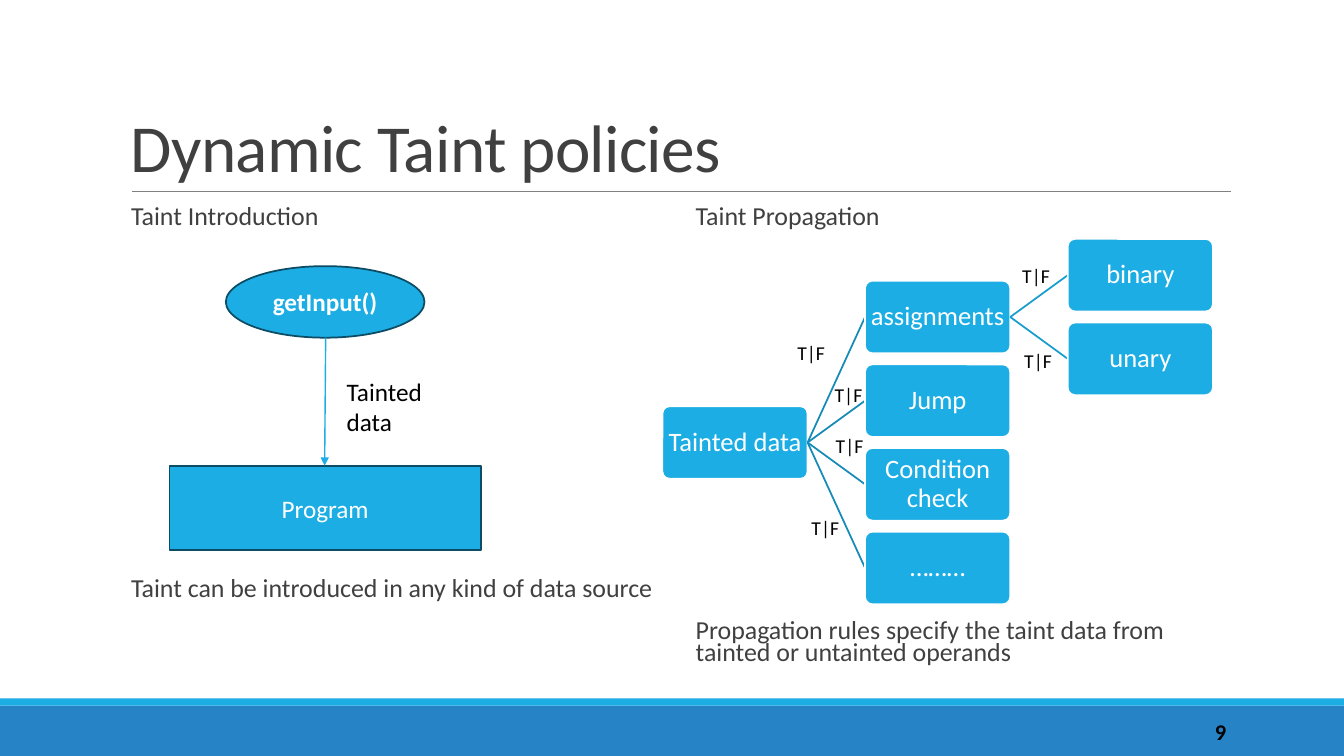
from lxml.etree import SubElement
from pptx import Presentation
from pptx.dml.color import RGBColor
from pptx.enum.shapes import MSO_CONNECTOR, MSO_SHAPE
from pptx.enum.text import MSO_ANCHOR, PP_ALIGN
from pptx.oxml.ns import qn
from pptx.util import Inches, Pt

BLUE = RGBColor(0x1C, 0xAD, 0xE4)
FOOTER_BLUE = RGBColor(0x26, 0x83, 0xC6)
OUTLINE = RGBColor(0x0C, 0x4C, 0x64)
BRANCH = RGBColor(0x16, 0x8B, 0xB7)
SUB_BRANCH = RGBColor(0x19, 0x9D, 0xCF)
RULE_GRAY = RGBColor(0x80, 0x80, 0x80)
BODY_GRAY = RGBColor(0x40, 0x40, 0x40)
BLACK = RGBColor(0, 0, 0)
WHITE = RGBColor(0xFF, 0xFF, 0xFF)
FONT = "Calibri"

TITLE = "Dynamic Taint policies"
PAGE_NUMBER = "9"
# left edge, heading, caption, body rows from heading to caption
COLUMNS = [
    (1.3, "Taint Introduction", "Taint can be introduced in any kind of data source", 9),
    (6.9, "Taint Propagation",
     "Propagation rules specify the taint data from tainted or untainted operands", 10),
]
SOURCE, TARGET, FLOW = "getInput()", "Program", "Tainted data"
# name: parent, depth, row relative to the root, place of the branch label
TREE = {
    "Tainted data": (None, 0, 0, None),
    "assignments": ("Tainted data", 1, -1.5, (7.81, 3.33)),
    "binary": ("assignments", 2, -2, (10.04, 2.57)),
    "unary": ("assignments", 2, -1, (10.06, 3.41)),
    "Jump": ("Tainted data", 1, -0.5, (8.18, 3.75)),
    "Condition check": ("Tainted data", 1, 0.5, (8.19, 4.26)),
    "………": ("Tainted data", 1, 1.5, (7.95, 5.07)),
}
BRANCH_LABEL = "T|F"

BODY_TOP, BODY_ROW, BODY_WIDTH = 2.02, 0.41, 5.3
ROOT_LEFT, ROOT_MIDDLE = 6.57, 4.39
NODE_WIDTH, NODE_HEIGHT = 1.44, 0.72
DEPTH_STEP, ROW_STEP = 2.01, 0.83

presentation = Presentation()
presentation.slide_width = Inches(13.33)
presentation.slide_height = Inches(7.5)
slide = presentation.slides.add_slide(presentation.slide_layouts[6])


def write(shape, text, size, color, bold=False, align=PP_ALIGN.LEFT,
          anchor=MSO_ANCHOR.TOP, insets=(0.1, 0.05), spacing=None):
    """Put one styled paragraph into a shape and return it."""
    frame = shape.text_frame
    frame.word_wrap = True
    frame.vertical_anchor = anchor
    frame.margin_left = frame.margin_right = Inches(insets[0])
    frame.margin_top = frame.margin_bottom = Inches(insets[1])
    paragraph = frame.paragraphs[0]
    paragraph.text = text
    paragraph.alignment = align
    paragraph.line_spacing = spacing
    font = paragraph.font
    font.name, font.size, font.bold = FONT, Pt(size), bold
    font.color.rgb = color
    return paragraph


def add_text(box, *content, **style):
    """Add a text box at (left, top, width, height)."""
    return write(slide.shapes.add_textbox(*map(Inches, box)), *content, **style)


def add_block(kind, box, fill, line=None):
    """Add a filled preset shape, outlined when a line colour is given."""
    block = slide.shapes.add_shape(kind, *map(Inches, box))
    block.shadow.inherit = False
    block.fill.solid()
    block.fill.fore_color.rgb = fill
    if line is None:
        block.line.fill.background()
    else:
        block.line.color.rgb = line
        block.line.width = Pt(1.25)
    return block


def add_line(start, end, color, width, arrow=False):
    """Draw a straight line, with an arrowhead at its end if asked."""
    line = slide.shapes.add_connector(
        MSO_CONNECTOR.STRAIGHT, *map(Inches, (*start, *end)))
    line.line.color.rgb = color
    line.line.width = Pt(width)
    if arrow:
        SubElement(line.line._get_or_add_ln(), qn("a:tailEnd"), type="triangle")
    SubElement(line._element.spPr, qn("a:effectLst"))


def node_place(name):
    """Return the left edge and vertical middle of a tree node."""
    _, depth, row, _ = TREE[name]
    return ROOT_LEFT + depth * DEPTH_STEP, ROOT_MIDDLE + row * ROW_STEP


# Frame of the slide
add_block(MSO_SHAPE.RECTANGLE, (0, 7, 13.33, 0.5), FOOTER_BLUE)
add_block(MSO_SHAPE.RECTANGLE, (0, 6.93, 13.33, 0.07), BLUE)
add_line((1.31, 1.9), (12.21, 1.9), RULE_GRAY, 0.5)
title = add_text((1.2, 0.31, 11, 1.59), TITLE, 48, BODY_GRAY,
                 anchor=MSO_ANCHOR.BOTTOM, spacing=0.85)
title.runs[0].font._element.set("spc", "-50")
add_text((10.83, 7.06, 1.43, 0.4), PAGE_NUMBER, 16, BLACK, bold=True,
         align=PP_ALIGN.RIGHT, anchor=MSO_ANCHOR.MIDDLE)

# Headings and captions
for left, heading, caption, rows in COLUMNS:
    for text, row in ((heading, 0), (caption, rows)):
        add_text((left, BODY_TOP + row * BODY_ROW, BODY_WIDTH, 0.6), text,
                 18.5, BODY_GRAY, insets=(0, 0.05), spacing=0.7)

# Taint introduction
for kind, box, text, bold in (
        (MSO_SHAPE.OVAL, (2.24, 2.64, 1.97, 0.71), SOURCE, True),
        (MSO_SHAPE.RECTANGLE, (1.68, 4.62, 3.09, 0.84), TARGET, False)):
    write(add_block(kind, box, BLUE, OUTLINE), text, 18, WHITE, bold=bold,
          align=PP_ALIGN.CENTER, anchor=MSO_ANCHOR.MIDDLE)
add_line((3.23, 3.35), (3.22, 4.62), BLUE, 1, arrow=True)
add_text((3.34, 3.68, 1.19, 0.71), FLOW, 18, BLACK)

# Taint propagation
for name, (parent, depth, _, label_place) in TREE.items():
    left, middle = node_place(name)
    if parent:
        parent_left, parent_middle = node_place(parent)
        add_line((parent_left + NODE_WIDTH, parent_middle), (left, middle),
                 BRANCH if depth == 1 else SUB_BRANCH, 1.25)
    node = add_block(MSO_SHAPE.ROUNDED_RECTANGLE,
                     (left, middle - NODE_HEIGHT / 2, NODE_WIDTH, NODE_HEIGHT),
                     BLUE, WHITE)
    node.adjustments[0] = 0.1
    write(node, name, 19, WHITE, align=PP_ALIGN.CENTER,
          anchor=MSO_ANCHOR.MIDDLE, insets=(0.01, 0.01), spacing=0.9)
    if label_place:
        add_text((*label_place, 0.49, 0.34), BRANCH_LABEL, 14, BLACK)

presentation.save("out.pptx")
